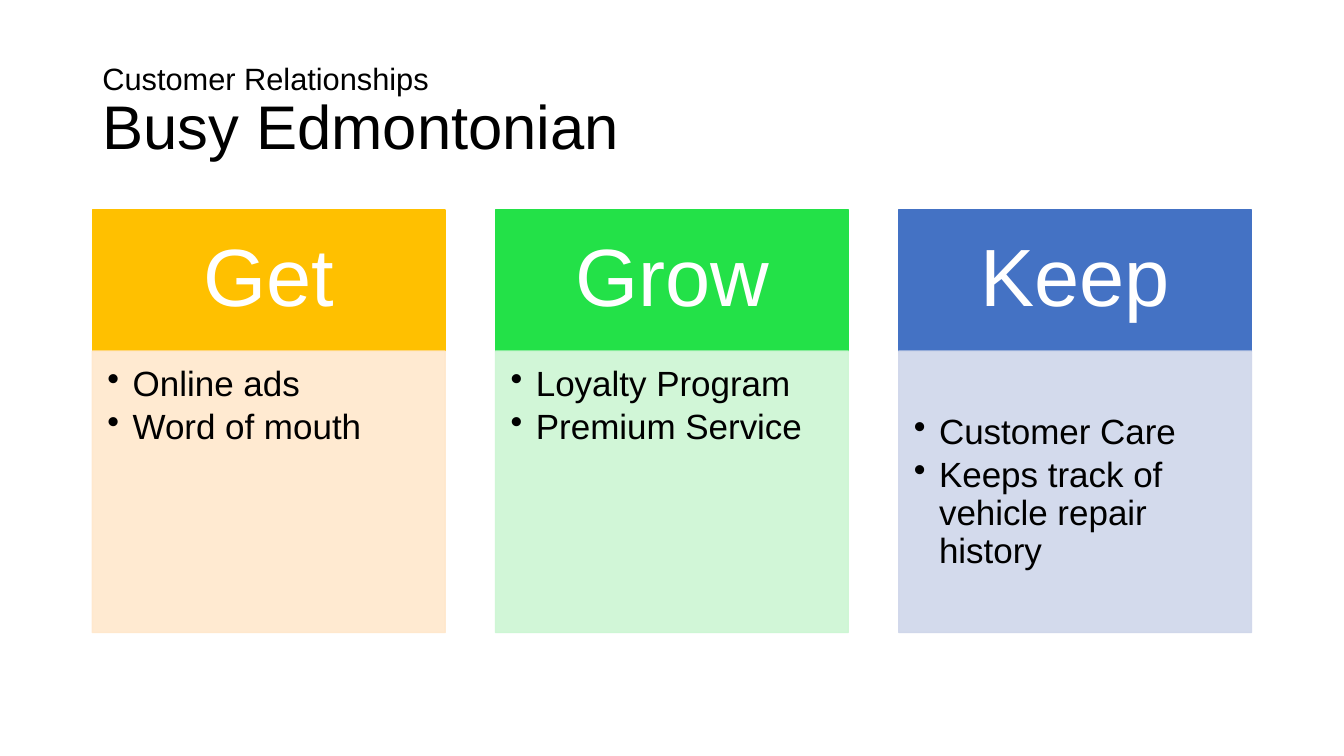
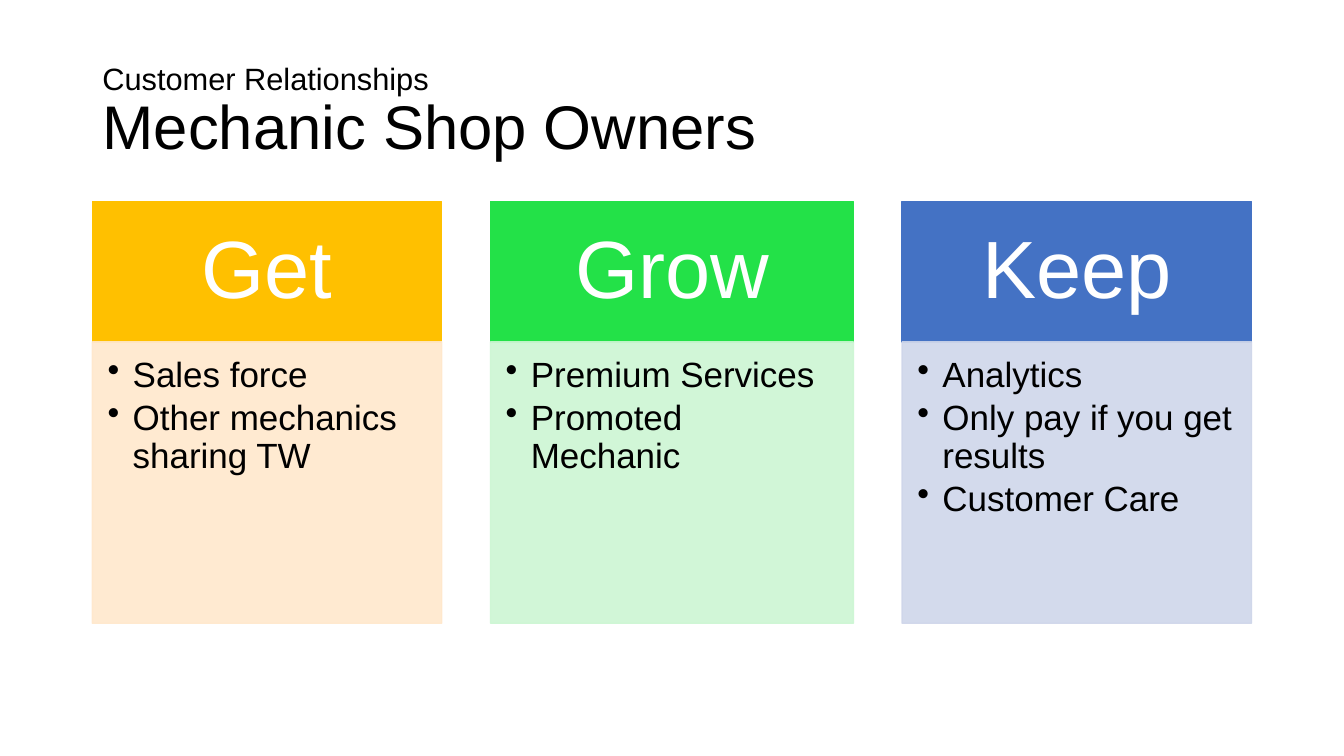
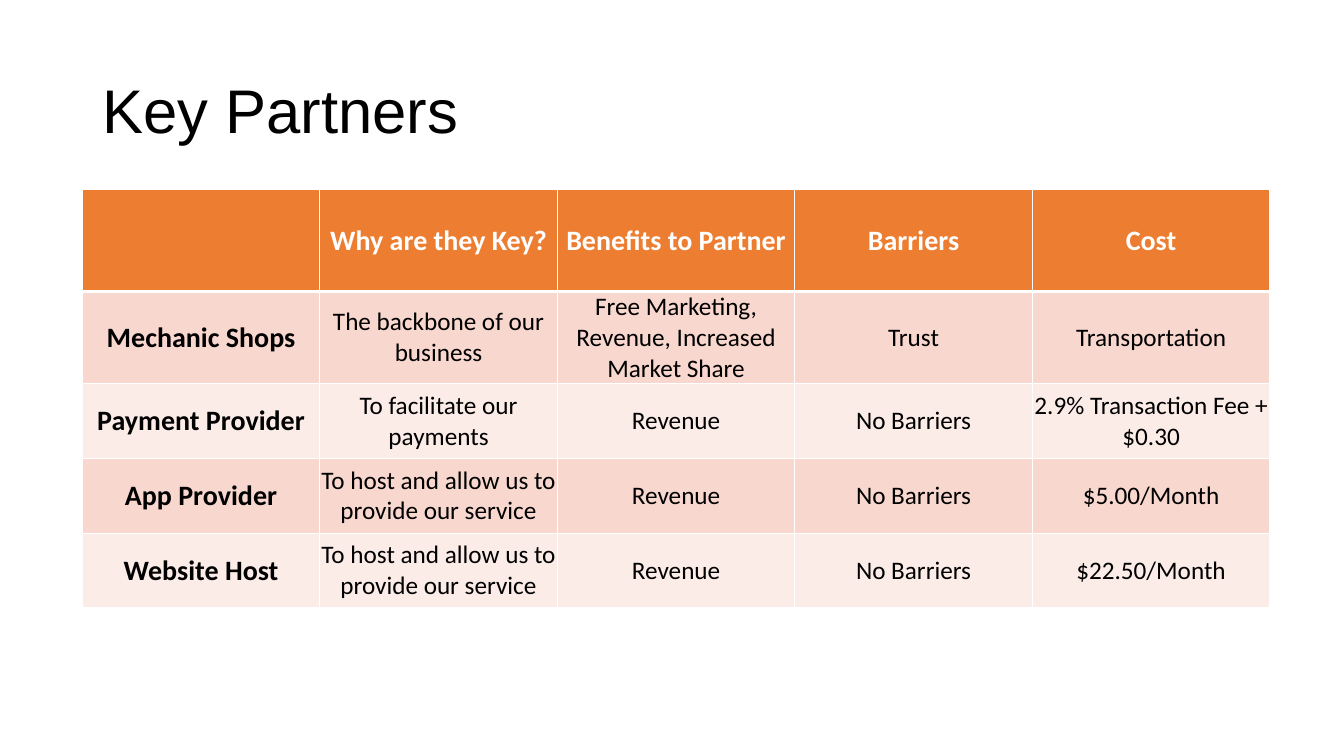
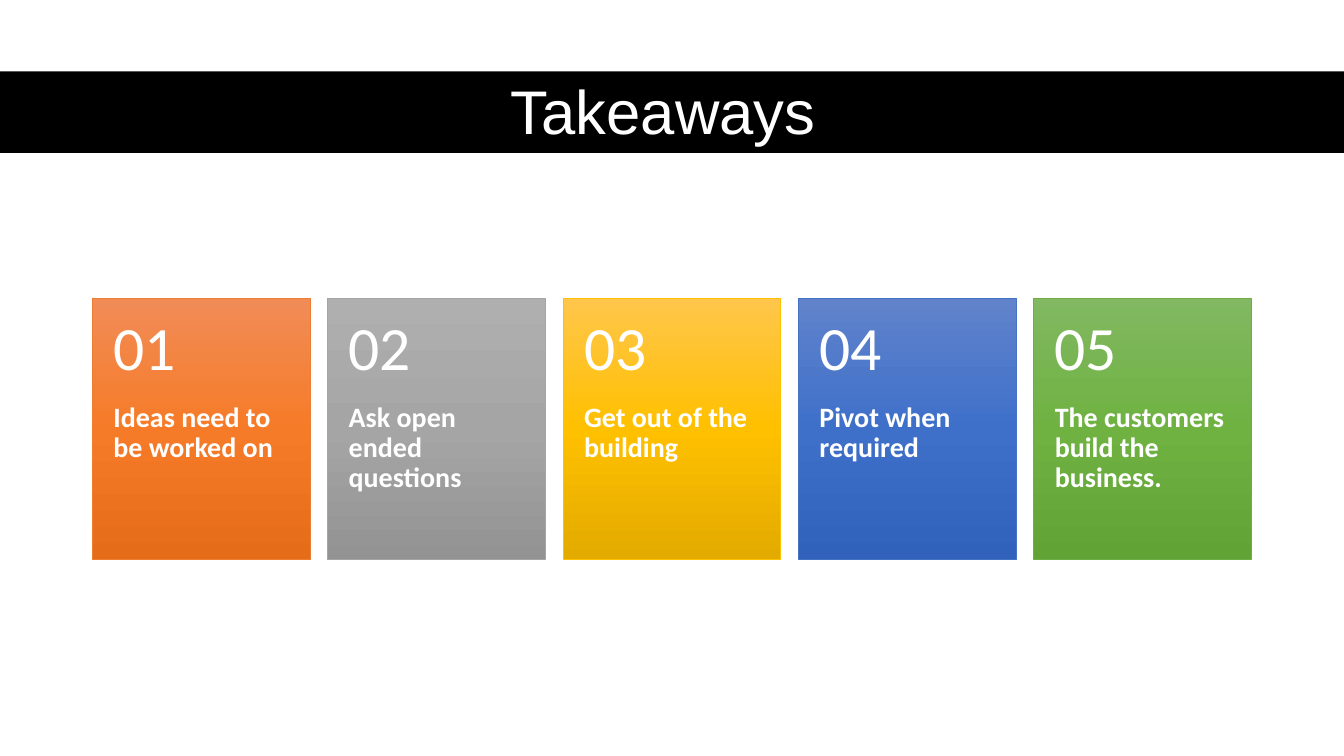
from copy import deepcopy
from dataclasses import dataclass

from lxml.etree import SubElement as Sub
from pptx import Presentation
from pptx.dml.color import RGBColor as Rgb
from pptx.enum.shapes import MSO_SHAPE as Kind
from pptx.enum.text import MSO_ANCHOR as Anchor, MSO_AUTO_SIZE as Auto, PP_ALIGN as Align
from pptx.oxml.ns import qn
from pptx.util import Inches, Pt

# The grid: square cells, 160 columns by 90 rows
CELL = Inches(1) / 12
COLS, ROWS = 160, 90
LEFT, WIDE = 11, 138


@dataclass(frozen=True)
class Theme:
    head: str = "Arial"
    body: str = "Calibri"
    ink: str = "000000"
    white: str = "FFFFFF"
    orange: str = "ED7D31"
    rows: tuple = ("F8D7CE", "FCECE8")
    # panel head and panel body
    panels: tuple = (("FFC000", "FFE8CC"), ("23E148", "CCF6D3"), ("4472C4", "CFD6EA"))
    # card line, then gradient from top to bottom
    cards: tuple = (
        ("ED7D31", "F18C57", "F67B28", "E56C19"),
        ("A5A5A5", "AFAFAF", "A5A5A5", "939393"),
        ("FFC000", "FFC64B", "FFC000", "E3AB00"),
        ("4472C4", "6183CB", "3E70CA", "3062BB"),
        ("70AD47", "81B861", "6FB242", "62A336"),
    )
    title: int = 44
    over: int = 22
    huge: int = 58
    list: int = 25
    bold: int = 20
    cell: int = 18


def cells(*nums):
    return [round(num * CELL) for num in nums]


class Deck:
    def __init__(self, theme):
        self.theme = theme
        self.prs = Presentation()
        self.prs.slide_width, self.prs.slide_height = cells(COLS, ROWS)

    # Text
    def style(self, para, size, font, color, bold=False, align=Align.LEFT, line=0.9, after=0):
        para.alignment = align
        para.line_spacing = line
        para.space_before = Pt(0)
        para.space_after = Pt(after)
        for run in para.runs:
            run.font.size = Pt(size)
            run.font.name = font
            run.font.bold = bold
            run.font.color.rgb = Rgb.from_string(color)

    def frame(self, shape, pads, anchor):
        frame = shape.text_frame
        frame.word_wrap = True
        frame.auto_size = Auto.NONE
        frame.vertical_anchor = anchor
        (frame.margin_left, frame.margin_top,
         frame.margin_right, frame.margin_bottom) = cells(*pads)
        return frame

    def label(self, box, text, pads, size, bold=False, anchor=Anchor.TOP):
        shape = self.slide.shapes.add_textbox(*cells(*box))
        frame = self.frame(shape, pads, anchor)
        frame.text = text
        self.style(frame.paragraphs[0], size, self.theme.body, self.theme.white, bold)

    def bullets(self, frame, items):
        frame.text = "\n".join(items)
        for para in frame.paragraphs:
            props = para._p.get_or_add_pPr()
            indent = cells(3)[0]
            props.set("marL", str(indent))
            props.set("indent", str(-indent))
            Sub(props, qn("a:buChar")).set("char", "•")
            self.style(para, self.theme.list, self.theme.head, self.theme.ink, after=4)

    # Slide with its title
    def page(self, title, over="", box=(LEFT, 4.8, WIDE, 17.4), color=None, align=Align.LEFT):
        look = self.theme
        self.slide = self.prs.slides.add_slide(self.prs.slide_layouts[5])
        shape = self.slide.shapes.title
        shape.left, shape.top, shape.width, shape.height = cells(*box)
        frame = self.frame(shape, (1.2, 0.6, 1.2, 0.6), Anchor.MIDDLE)
        frame.text = f"{over}\v{title}" if over else title
        para = frame.paragraphs[0]
        self.style(para, look.title, look.head, color or look.ink, align=align)
        if over:
            para.runs[0].font.size = Pt(look.over)

    # Shapes
    def rect(self, box, color, line=None, width=1):
        shape = self.slide.shapes.add_shape(Kind.RECTANGLE, *cells(*box))
        shape.shadow.inherit = False
        shape.fill.solid()
        shape.fill.fore_color.rgb = Rgb.from_string(color)
        if line:
            shape.line.color.rgb = Rgb.from_string(line)
            shape.line.width = Pt(width)
        else:
            shape.line.fill.background()
        return shape

    def band(self, top, high):
        shape = self.rect((0, top, COLS, high), self.theme.ink)
        self.slide.shapes._spTree.insert(2, shape._element)

    def fade(self, shape, colors):
        shape.fill.gradient()
        shape.fill.gradient_angle = 270
        stops = shape._element.spPr.find(".//" + qn("a:gsLst"))
        stops.insert(1, deepcopy(stops[0]))
        for num, (stop, color) in enumerate(zip(shape.fill.gradient_stops, colors)):
            stop.color.rgb = Rgb.from_string(color)
            stop.position = num / 2

    def panel(self, box, high, colors, head, items, pad):
        left, top, wide, low = box
        look = self.theme
        dark, pale = colors
        shape = self.rect((left, top, wide, high), dark, dark)
        frame = self.frame(shape, (5.4, 3.1, 5.4, 3.1), Anchor.MIDDLE)
        frame.text = head
        self.style(frame.paragraphs[0], look.huge, look.head, look.white, align=Align.CENTER)
        shape = self.rect((left, top + high, wide, low), pale, pale)
        for tint in list(shape._element.spPr.iter(qn("a:srgbClr"))):
            Sub(tint, qn("a:alpha")).set("val", "90000")
        self.bullets(self.frame(shape, (1.8, pad, 2.3, 2.6), Anchor.TOP), items)

    def panels(self, top, high, wides, lists, pads=(1.8, 1.8, 1.8)):
        gap = (WIDE - sum(wides)) / (len(wides) - 1)
        left = LEFT
        heads = ("Get", "Grow", "Keep")
        for wide, colors, head, items, pad in zip(wides, self.theme.panels, heads, lists, pads):
            self.panel((left, top, wide, 33.5), high, colors, head, items, pad)
            left += wide + gap

    def cards(self, texts, top=35.5, wide=25.92, high=31.1, split=12.5):
        look = self.theme
        step = (WIDE - wide) / (len(texts) - 1)
        for num, (text, (line, *tones)) in enumerate(zip(texts, look.cards)):
            left = LEFT + num * step
            shape = self.rect((left, top, wide, high), line, line, 0.5)
            self.fade(shape, tones)
            self.label((left, top + split, wide, high - split), text,
                       (2.5, 0, 2.5, 4.3), look.bold, bold=True)
            self.label((left, top, wide, split), f"{num + 1:02}",
                       (2.5, 2.2, 2.5, 2.2), look.title, anchor=Anchor.MIDDLE)

    # Table
    def edges(self, cell, widths):
        props = cell._tc.get_or_add_tcPr()
        for side, width in zip("LRTB", widths):
            edge = Sub(props, qn(f"a:ln{side}"), w=str(Pt(width)))
            fill = Sub(edge, qn("a:solidFill"))
            Sub(fill, qn("a:srgbClr"), val=self.theme.white)

    def table(self, spot, wide, highs, data):
        look = self.theme
        count = len(data[0])
        size = (wide * count, sum(highs))
        grid = self.slide.shapes.add_table(len(data), count, *cells(*spot, *size)).table
        grid.first_row = grid.horz_banding = False
        for col in grid.columns:
            col.width = cells(wide)[0]
        for row, (line, high) in enumerate(zip(data, highs)):
            grid.rows[row].height = cells(high)[0]
            for col, text in enumerate(line):
                cell = grid.cell(row, col)
                head = row == 0
                bold = head or col == 0
                self.edges(cell, (1, 1, 1, 3 if head else 1))
                cell.fill.solid()
                tone = look.orange if head else look.rows[(row - 1) % 2]
                cell.fill.fore_color.rgb = Rgb.from_string(tone)
                cell.margin_left = cell.margin_right = 0
                cell.margin_top = cell.margin_bottom = 0
                cell.vertical_anchor = Anchor.MIDDLE
                cell.text = text
                self.style(cell.text_frame.paragraphs[0], look.bold if bold else look.cell,
                           look.body, look.white if head else look.ink, bold,
                           Align.CENTER, line=1)


def main():
    deck = Deck(Theme())
    over = "Customer Relationships"

    # Customers
    deck.page("Busy Edmontonian", over)
    deck.panels(25, 16.8, (42, 42, 42), (
        ("Online ads", "Word of mouth"),
        ("Loyalty Program", "Premium Service"),
        ("Customer Care", "Keeps track of vehicle repair history"),
    ), pads=(1.8, 1.8, 7.5))

    # Shops
    deck.page("Mechanic Shop Owners", over)
    deck.panels(24, 16.7, (41.6, 43.2, 41.6), (
        ("Sales force", "Other mechanics sharing TW"),
        ("Premium Services", "Promoted Mechanic"),
        ("Analytics", "Only pay if you get results", "Customer Care"),
    ))

    # Partners
    host = "To host and allow us to provide our service"
    gain, free = "Revenue", "No Barriers"
    deck.page("Key Partners")
    deck.table((9.8, 22.6), 28.28, (12.1, 8.9, 8.9, 8.9, 8.9), (
        ("", "Why are they Key?", "Benefits to Partner", "Barriers", "Cost"),
        ("Mechanic Shops", "The backbone of our business",
         "Free Marketing, Revenue, Increased Market Share", "Trust", "Transportation"),
        ("Payment Provider", "To facilitate our payments", gain, free,
         "2.9% Transaction Fee +$0.30"),
        ("App Provider", host, gain, free, "$5.00/Month"),
        ("Website Host", host, gain, free, "$22.50/Month"),
    ))

    # Takeaways
    deck.page("Takeaways ", box=(LEFT, 8.9, WIDE, 9.4),
              color=deck.theme.white, align=Align.CENTER)
    deck.band(8.5, 9.7)
    deck.cards((
        "Ideas need to be worked on",
        "Ask open ended questions",
        "Get out of the building",
        "Pivot when required",
        "The customers build the business.",
    ))

    deck.prs.save("out.pptx")


if __name__ == "__main__":
    main()
